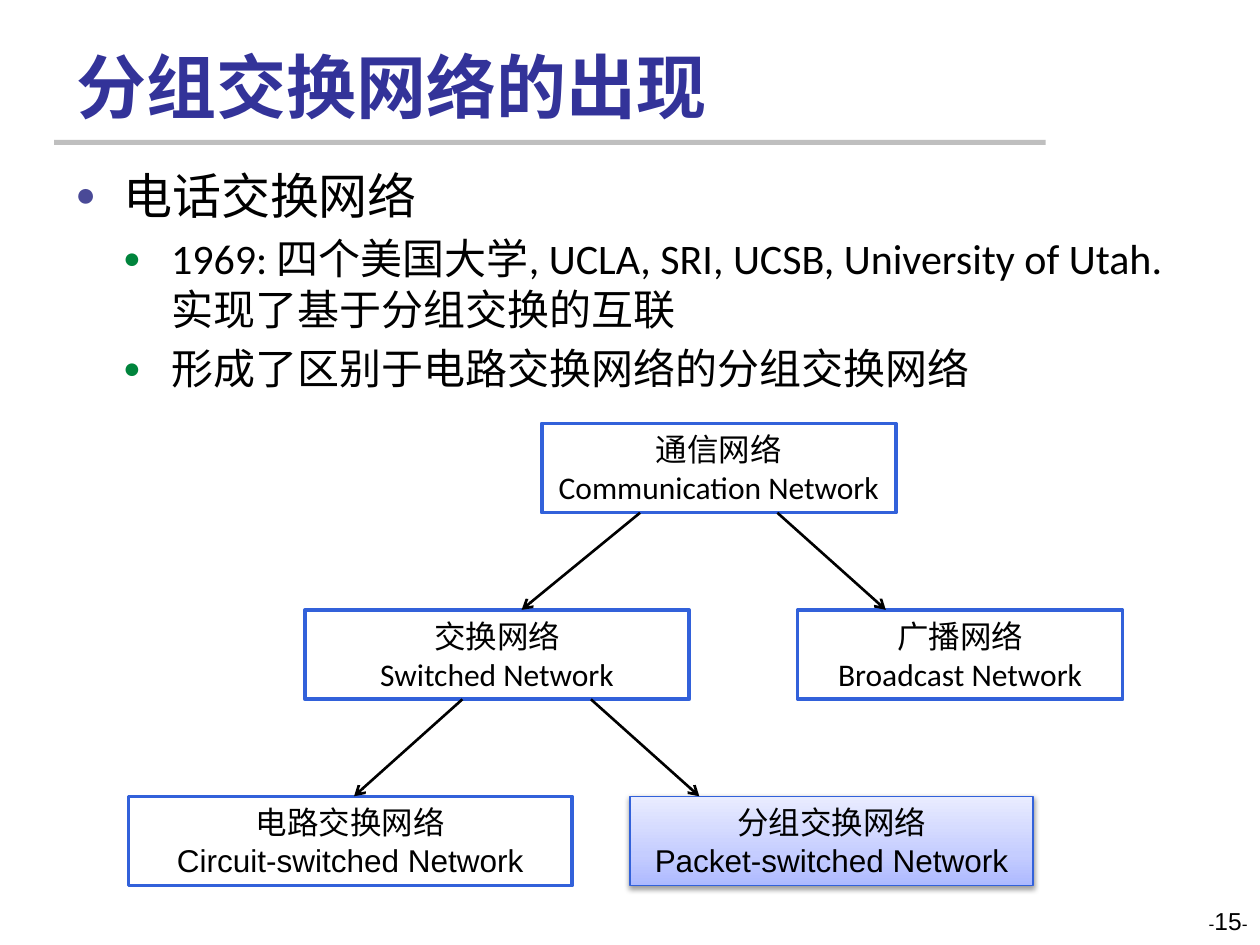
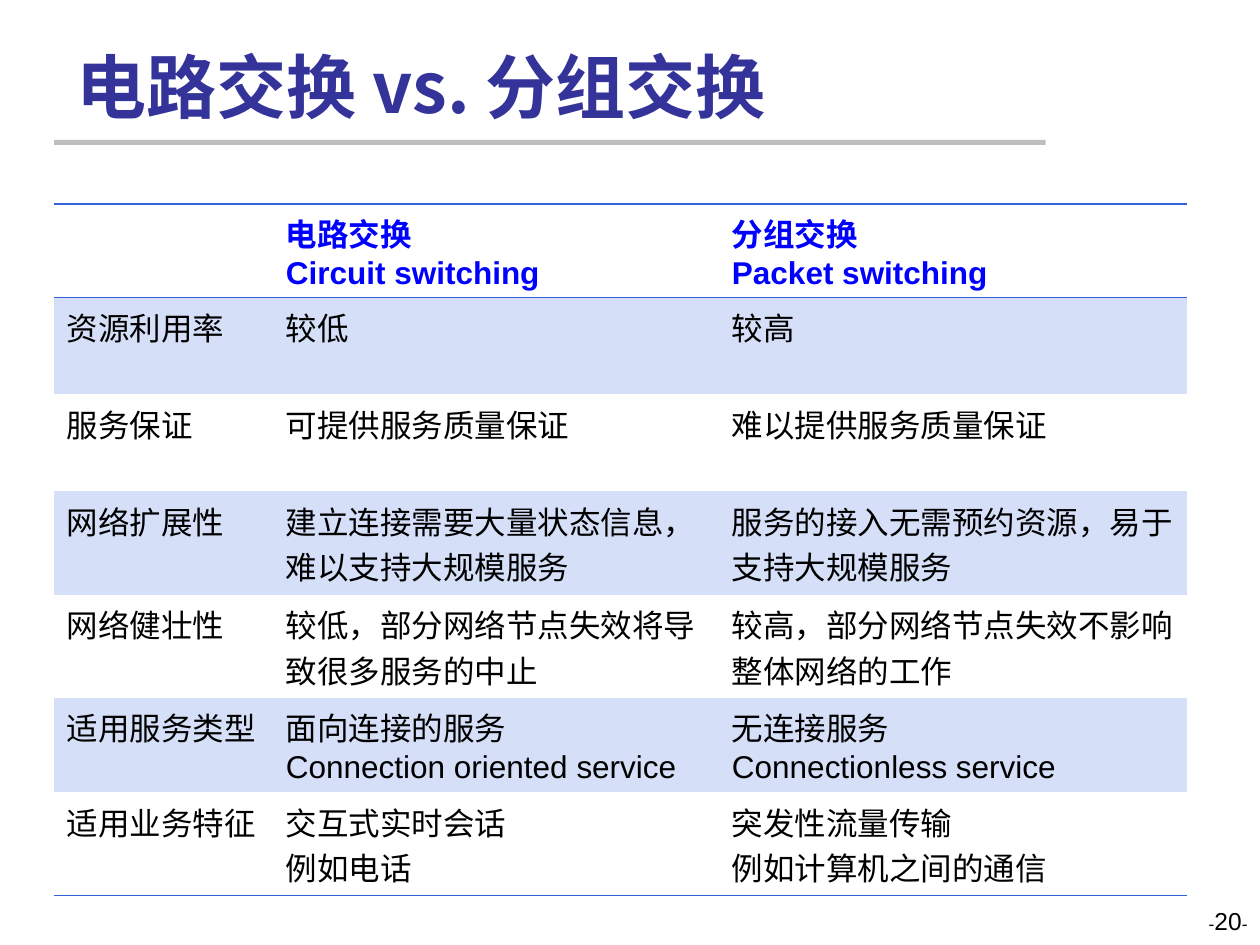
from lxml import etree
from pptx import Presentation
from pptx.dml.color import RGBColor
from pptx.enum.shapes import MSO_CONNECTOR, MSO_SHAPE
from pptx.enum.text import MSO_ANCHOR, MSO_AUTO_SIZE, PP_ALIGN
from pptx.oxml import parse_xml
from pptx.oxml.ns import nsdecls, qn
from pptx.util import Inches, Pt

RECTANGLE = MSO_SHAPE.RECTANGLE
STRAIGHT = MSO_CONNECTOR.STRAIGHT
MIDDLE, BOTTOM = MSO_ANCHOR.MIDDLE, MSO_ANCHOR.BOTTOM
LEFT, CENTER, RIGHT = PP_ALIGN.LEFT, PP_ALIGN.CENTER, PP_ALIGN.RIGHT
NO_AUTOFIT = MSO_AUTO_SIZE.NONE

WHITE = RGBColor(0xFF, 0xFF, 0xFF)
BLACK = RGBColor(0, 0, 0)
GREY = RGBColor(0xBF, 0xBF, 0xBF)
TITLE_BLUE = RGBColor(0x33, 0x33, 0x99)
HEADER_BLUE = RGBColor(0, 0, 0xFF)
LINE_BLUE = RGBColor(0x32, 0x61, 0xDA)
BAND_BLUE = RGBColor(0xD6, 0xDF, 0xF8)
BULLET_BLUE = RGBColor(0x4A, 0x4A, 0x97)
BULLET_GREEN = RGBColor(0x00, 0x84, 0x3C)

CJK, LATIN, SANS = "Noto Sans CJK SC", "Calibri", "Arial"
NO_TABLE_STYLE = "{2D5ABB26-0587-4C30-8999-92F81FD0307C}"


def add_run(paragraph, text, size, font=SANS, color=BLACK, bold=False):
    run = paragraph.add_run()
    run.text = text
    run.font.size = Pt(size)
    run.font.name = font
    run.font.bold = bold
    run.font.color.rgb = color
    latin = run.font._element.find(qn("a:latin"))
    latin.addnext(parse_xml(f'<a:ea {nsdecls("a")} typeface="{CJK}"/>'))


def add_page(heading, number):
    """Add a slide with the title, grey rule and page number all slides share."""
    slide = prs.slides.add_slide(prs.slide_layouts[5])
    rule = slide.shapes.add_shape(
        RECTANGLE, Inches(0.43), Inches(1.11), Inches(7.87), Inches(0.04))
    rule.shadow.inherit = False
    rule.fill.solid()
    rule.fill.fore_color.rgb = GREY
    rule.line.fill.background()

    title = slide.shapes.title
    title.left, title.top = Inches(0.51), Inches(0.28)
    title.width, title.height = Inches(8.25), Inches(0.78)
    title.text_frame.auto_size = NO_AUTOFIT
    title.text_frame.vertical_anchor = BOTTOM
    title.text_frame.paragraphs[0].alignment = LEFT
    add_run(title.text_frame.paragraphs[0], heading, 40, CJK, TITLE_BLUE, True)

    footer = slide.shapes.add_textbox(
        Inches(7.67), Inches(7.14), Inches(2.33), Inches(0.5)).text_frame
    footer.word_wrap = True
    footer.paragraphs[0].alignment = RIGHT
    for text, size in (("-", 10), (number, 14), ("-", 10)):
        add_run(footer.paragraphs[0], text, size)
    return slide


prs = Presentation()
prs.slide_width, prs.slide_height = Inches(10), Inches(7.5)

# Slide 1: bullets above a tree of network types
slide = add_page("分组交换网络的出现", "15")

points = slide.shapes.add_textbox(
    Inches(0.5), Inches(1.23), Inches(9), Inches(2)).text_frame
points.word_wrap = True
POINTS = [
    (0, "电话交换网络"),
    (1, "1969: 四个美国大学, UCLA, SRI, UCSB, University of Utah. "
        "实现了基于分组交换的互联"),
    (1, "形成了区别于电路交换网络的分组交换网络"),
]
POINT_STYLES = [(28, 36, BULLET_BLUE), (24, 29, BULLET_GREEN)]
INDENT = Inches(0.38)
for i, (level, text) in enumerate(POINTS):
    size, line_height, bullet_color = POINT_STYLES[level]
    paragraph = points.add_paragraph() if i else points.paragraphs[0]
    paragraph.level = level
    props = paragraph._p.get_or_add_pPr()
    props.set("marL", str(INDENT * (level + 1)))
    props.set("indent", str(-INDENT))
    for bullet in (
        f'<a:buClr {nsdecls("a")}><a:srgbClr val="{bullet_color}"/></a:buClr>',
        f'<a:buSzPct {nsdecls("a")} val="70000"/>',
        f'<a:buFont {nsdecls("a")} typeface="{SANS}"/>',
        f'<a:buChar {nsdecls("a")} char="●"/>',
    ):
        props.append(parse_xml(bullet))
    paragraph.line_spacing = Pt(line_height)
    if i:
        paragraph.space_before = Pt(4.8)
    add_run(paragraph, text, size, LATIN)

ROOT_TOP, BRANCH_TOP, LEAF_TOP, BOX_HEIGHT = 3.36, 4.84, 6.32, 0.71
NETWORKS = [
    (4.3, ROOT_TOP, 2.81, "通信网络", "Communication Network", LATIN),
    (2.42, BRANCH_TOP, 3.05, "交换网络", "Switched Network", LATIN),
    (6.33, BRANCH_TOP, 2.58, "广播网络", "Broadcast Network", LATIN),
    (1.02, LEAF_TOP, 3.52, "电路交换网络", "Circuit-switched Network", SANS),
    (5, LEAF_TOP, 3.2, "分组交换网络", "Packet-switched Network", SANS),
]
for left, top, width, chinese, english, font in NETWORKS:
    network = slide.shapes.add_shape(
        RECTANGLE, Inches(left), Inches(top), Inches(width), Inches(BOX_HEIGHT))
    network.shadow.inherit = False
    network.fill.solid()
    network.fill.fore_color.rgb = WHITE
    network.line.color.rgb = LINE_BLUE
    network.line.width = Pt(2)
    frame = network.text_frame
    frame.word_wrap = False
    frame.vertical_anchor = MIDDLE
    for paragraph, text in ((frame.paragraphs[0], chinese),
                            (frame.add_paragraph(), english)):
        paragraph.alignment = CENTER
        add_run(paragraph, text, 18, font)

# The last box, packet switching, stands out with a gradient and a shadow
packet_switched = network
packet_switched.line.width = Pt(0.75)
packet_props = packet_switched._element.spPr
stops = "".join(
    f'<a:gs pos="{position}000"><a:srgbClr val="{color}"/></a:gs>'
    for position, color in ((0, "ADB9FF"), (35, "C5CDFF"), (100, "E9ECFF")))
solid = packet_props.find(qn("a:solidFill"))
packet_props.replace(solid, parse_xml(
    f'<a:gradFill {nsdecls("a")} rotWithShape="1"><a:gsLst>{stops}</a:gsLst>'
    '<a:lin ang="16200000" scaled="0"/></a:gradFill>'))
packet_props.find(qn("a:effectLst")).append(parse_xml(
    f'<a:outerShdw {nsdecls("a")} blurRad="40000" dist="20000" dir="5400000" '
    'rotWithShape="0"><a:srgbClr val="000000"><a:alpha val="38000"/>'
    '</a:srgbClr></a:outerShdw>'))

BRANCHES = [
    (5.08, 4.14, ROOT_TOP, BRANCH_TOP),
    (6.17, 7.03, ROOT_TOP, BRANCH_TOP),
    (3.67, 2.81, BRANCH_TOP, LEAF_TOP),
    (4.69, 5.55, BRANCH_TOP, LEAF_TOP),
]
for start_x, end_x, parent_top, child_top in BRANCHES:
    branch = slide.shapes.add_connector(
        STRAIGHT, Inches(start_x), Inches(parent_top + BOX_HEIGHT),
        Inches(end_x), Inches(child_top))
    branch.line.color.rgb = BLACK
    branch.line.width = Pt(1.5)
    etree.SubElement(branch.line._get_or_add_ln(), qn("a:tailEnd"), type="arrow")
    etree.SubElement(branch._element.spPr, qn("a:effectLst"))

# Slide 2: comparison table
slide = add_page("电路交换 vs. 分组交换", "20")

COMPARISON = [
    ("", "电路交换\nCircuit switching", "分组交换\nPacket switching"),
    ("资源利用率", "较低", "较高"),
    ("服务保证", "可提供服务质量保证", "难以提供服务质量保证"),
    ("网络扩展性", "建立连接需要大量状态信息，难以支持大规模服务",
     "服务的接入无需预约资源，易于支持大规模服务"),
    ("网络健壮性", "较低，部分网络节点失效将导致很多服务的中止",
     "较高，部分网络节点失效不影响整体网络的工作"),
    ("适用服务类型", "面向连接的服务\nConnection oriented service",
     "无连接服务\nConnectionless service"),
    ("适用业务特征", "交互式实时会话\n例如电话",
     "突发性流量传输\n例如计算机之间的通信"),
]
COLUMN_WIDTHS = [1.74, 3.54, 3.71]
ROW_HEIGHTS = [0.74, 0.77, 0.77, 0.82, 0.82, 0.75, 0.82]
RULED_SIDES = {0: ("lnT", "lnB"), len(COMPARISON) - 1: ("lnB",)}

comparison = slide.shapes.add_table(
    len(COMPARISON), len(COLUMN_WIDTHS), Inches(0.43), Inches(1.62),
    Inches(sum(COLUMN_WIDTHS)), Inches(sum(ROW_HEIGHTS))).table
comparison._tbl.tblPr.find(qn("a:tableStyleId")).text = NO_TABLE_STYLE
for column, width in zip(comparison.columns, COLUMN_WIDTHS):
    column.width = Inches(width)
for r, (row, height) in enumerate(zip(comparison.rows, ROW_HEIGHTS)):
    row.height = Inches(height)
    for cell, content in zip(row.cells, COMPARISON[r]):
        if r % 2:
            cell.fill.solid()
            cell.fill.fore_color.rgb = BAND_BLUE
        else:
            cell.fill.background()
        for position, side in enumerate(RULED_SIDES.get(r, ())):
            cell._tc.get_or_add_tcPr().insert(position, parse_xml(
                f'<a:{side} {nsdecls("a")} w="12700"><a:solidFill>'
                f'<a:srgbClr val="{LINE_BLUE}"/></a:solidFill></a:{side}>'))
        if not content:
            continue
        for i, text in enumerate(content.split("\n")):
            frame = cell.text_frame
            paragraph = frame.add_paragraph() if i else frame.paragraphs[0]
            add_run(paragraph, text, 18, SANS,
                    BLACK if r else HEADER_BLUE, bold=r == 0)

prs.save("out.pptx")
